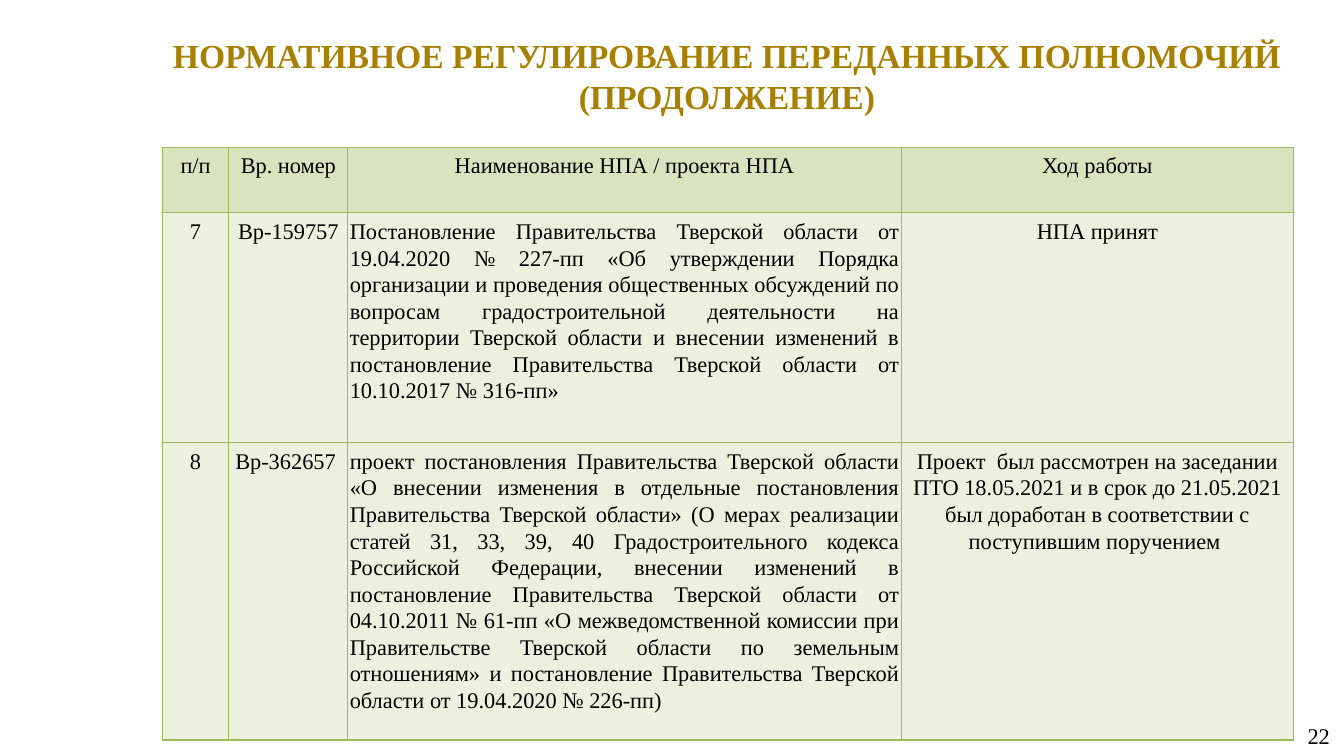
from lxml.etree import SubElement
from pptx import Presentation
from pptx.dml.color import RGBColor
from pptx.enum.text import MSO_ANCHOR, PP_ALIGN
from pptx.oxml.ns import qn
from pptx.util import Inches, Pt

WIDTH, HEIGHT = 13.33, 7.5
COLORS = {
    "title": "A88000",
    "text": "000000",
    "header": "D7E4BD",
    "body": "EBF1DE",
    "border": "9BBB59",
}
CELL_PARAGRAPH = {"line_spacing": 1.07, "space_after": Pt(8)}
CELL_MARGINS = {
    "margin_left": Inches(0.02),
    "margin_right": Inches(0.02),
    "margin_top": Inches(0.05),
    "margin_bottom": Inches(0.05),
}
BOX_FRAME = {
    "word_wrap": True,
    "margin_left": Inches(0.13),
    "margin_right": Inches(0.13),
    "margin_top": Inches(0.07),
    "margin_bottom": Inches(0.07),
}

# Table content
COLUMN_WIDTHS = [0.66, 1.18, 5.49, 3.89]
ROW_HEIGHTS = [0.65, 2.28, 2.95]
NAME_COLUMN = 2
ROWS = [
    ["п/п", "Вр. номер", "Наименование НПА / проекта НПА", "Ход работы"],
    [
        "7",
        "Вр-159757",
        "Постановление Правительства Тверской области от 19.04.2020 № 227-пп "
        "«Об утверждении Порядка организации и проведения общественных обсуждений "
        "по вопросам градостроительной деятельности на территории Тверской области "
        "и внесении изменений в постановление Правительства Тверской области "
        "от 10.10.2017 № 316-пп»",
        "НПА принят",
    ],
    [
        "8",
        "Вр-362657 ",
        "проект постановления Правительства Тверской области «О внесении изменения "
        "в отдельные постановления Правительства Тверской области» (О мерах "
        "реализации статей 31, 33, 39, 40 Градостроительного кодекса Российской "
        "Федерации, внесении изменений в постановление Правительства Тверской "
        "области от 04.10.2011 № 61-пп «О межведомственной комиссии при "
        "Правительстве Тверской области по земельным отношениям» и постановление "
        "Правительства Тверской области от 19.04.2020 № 226-пп)",
        "Проект  был рассмотрен на заседании ПТО 18.05.2021 и в срок до 21.05.2021 "
        "был доработан в соответствии с поступившим поручением ",
    ],
]


def apply(target, values):
    for name, value in values.items():
        setattr(target, name, value)


class SlideBuilder:
    """Holds the text style and the current slide; places are shares of its size."""

    def __init__(self, presentation, font_name="Times New Roman", size=16):
        self.presentation = presentation
        self.font_name = font_name
        self.size = size
        self.slide = presentation.slides.add_slide(presentation.slide_layouts[6])

    def place(self, left, top, width, height):
        across, down = self.presentation.slide_width, self.presentation.slide_height
        return (round(left * across), round(top * down),
                round(width * across), round(height * down))

    def fill_text(self, frame, text, color="text", font=None, **paragraph_format):
        paragraph = frame.paragraphs[0]
        apply(paragraph, paragraph_format)
        run = paragraph.add_run()
        run.text = text
        apply(run.font, {"name": self.font_name, "size": Pt(self.size), **(font or {})})
        run.font.color.rgb = RGBColor.from_string(COLORS[color])

    def text_box(self, area, text, anchor=MSO_ANCHOR.TOP, **style):
        frame = self.slide.shapes.add_textbox(*self.place(*area)).text_frame
        apply(frame, {**BOX_FRAME, "vertical_anchor": anchor})
        self.fill_text(frame, text, **style)

    def border(self, cell):
        properties = cell._tc.get_or_add_tcPr()
        for position, side in enumerate(("a:lnL", "a:lnR", "a:lnT", "a:lnB")):
            line = SubElement(properties, qn(side), w=str(Pt(0.96)))
            fill = SubElement(line, qn("a:solidFill"))
            SubElement(fill, qn("a:srgbClr"), val=COLORS["border"])
            properties.insert(position, line)

    def table(self, area, rows, column_widths, row_heights):
        table = self.slide.shapes.add_table(
            len(rows), len(column_widths), *self.place(*area)).table
        for column, width in zip(table.columns, column_widths):
            column.width = Inches(width)
        for row_index, (row, height) in enumerate(zip(table.rows, row_heights)):
            row.height = Inches(height)
            for column_index, cell in enumerate(row.cells):
                apply(cell, CELL_MARGINS)
                cell.fill.solid()
                fill = "body" if row_index else "header"
                cell.fill.fore_color.rgb = RGBColor.from_string(COLORS[fill])
                self.border(cell)
                justified = row_index and column_index == NAME_COLUMN
                alignment = PP_ALIGN.JUSTIFY if justified else PP_ALIGN.CENTER
                self.fill_text(cell.text_frame, rows[row_index][column_index],
                               alignment=alignment, **CELL_PARAGRAPH)


def main():
    presentation = Presentation()
    presentation.slide_width = Inches(WIDTH)
    presentation.slide_height = Inches(HEIGHT)
    builder = SlideBuilder(presentation)

    # Title
    builder.text_box(
        (1.47 / WIDTH, 0.28 / HEIGHT, 11.48 / WIDTH, 0.93 / HEIGHT),
        "НОРМАТИВНОЕ РЕГУЛИРОВАНИЕ ПЕРЕДАННЫХ ПОЛНОМОЧИЙ (ПРОДОЛЖЕНИЕ)",
        color="title", font={"size": Pt(24), "bold": True}, alignment=PP_ALIGN.CENTER)

    # Slide number
    builder.text_box(
        (10.21 / WIDTH, 7.1 / HEIGHT, 3.11 / WIDTH, 0.4 / HEIGHT),
        "22", anchor=MSO_ANCHOR.MIDDLE, alignment=PP_ALIGN.RIGHT)

    # Table of regulations
    builder.table(
        (1.61 / WIDTH, 1.46 / HEIGHT,
         sum(COLUMN_WIDTHS) / WIDTH, sum(ROW_HEIGHTS) / HEIGHT),
        ROWS, COLUMN_WIDTHS, ROW_HEIGHTS)

    presentation.save("out.pptx")


if __name__ == "__main__":
    main()
